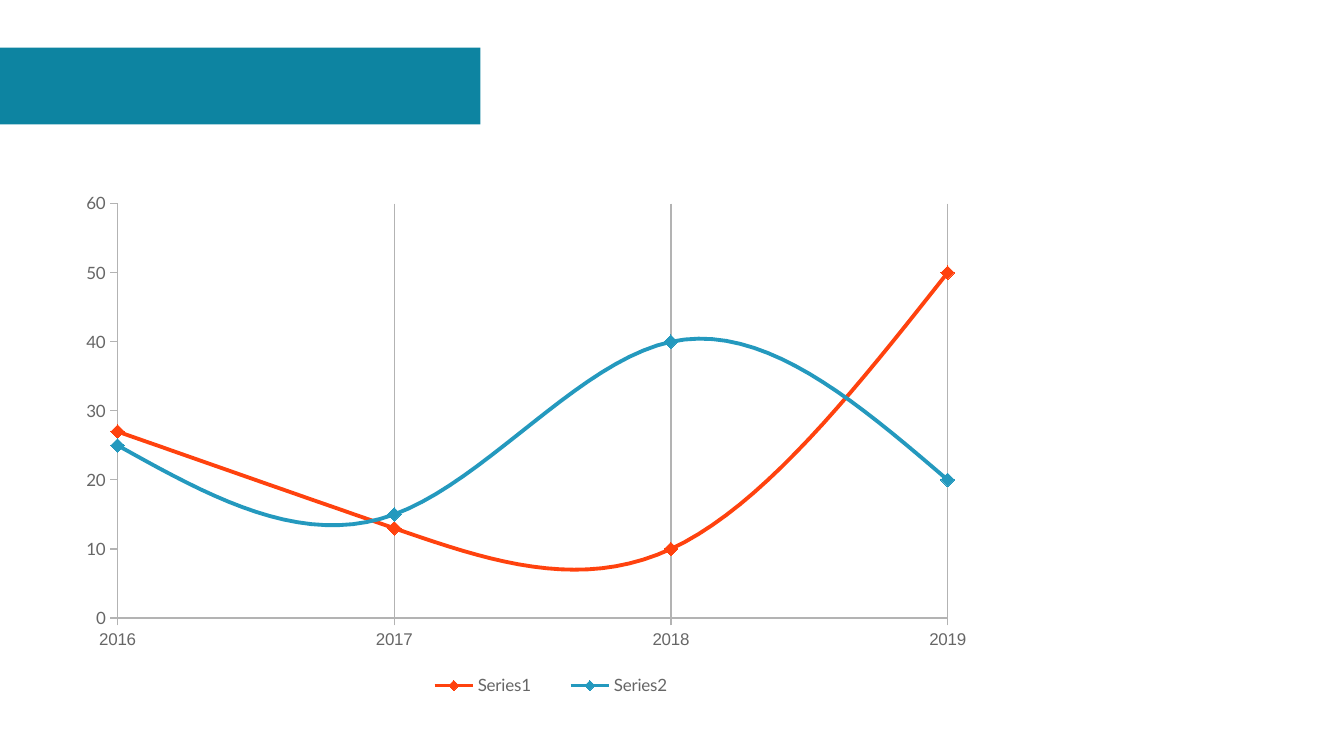
from lxml.etree import SubElement
from pptx import Presentation
from pptx.chart.data import CategoryChartData
from pptx.dml.color import RGBColor
from pptx.enum.chart import XL_CHART_TYPE as ChartType
from pptx.enum.chart import XL_LEGEND_POSITION as LegendPosition
from pptx.enum.chart import XL_MARKER_STYLE as MarkerStyle
from pptx.enum.chart import XL_TICK_MARK as TickMark
from pptx.enum.shapes import MSO_SHAPE as Shape
from pptx.oxml.ns import qn
from pptx.util import Inches, Pt

WIDTH, HEIGHT = 11.02, 6.2
BANNER, AXIS, LABEL = "0D84A1", "B3B3B3", "666666"
YEARS = ["2016", "2017", "2018", "2019"]
SERIES = [
    ("Series1", [27, 13, 10, 50], "FF420E"),
    ("Series2", [25, 15, 40, 20], "2499BE"),
]


def color(hex_string):
    return RGBColor.from_string(hex_string)


def style_fill(fill, hex_string):
    fill.solid()
    fill.fore_color.rgb = color(hex_string)


def style_line(line, hex_string, width=0):
    style_fill(line.fill, hex_string)
    line.width = Pt(width)


def style_text(font, name="Lato", size=10, hex_string=LABEL):
    font.name = name
    font.size = Pt(size)
    font.color.rgb = color(hex_string)


def place_part(parent, index, target=None, **shares):
    for old_layout in parent.findall(qn("c:layout")):
        parent.remove(old_layout)
    layout = SubElement(parent, qn("c:layout"))
    parent.insert(index, layout)
    manual = SubElement(layout, qn("c:manualLayout"))
    settings = {"xMode": "edge", "yMode": "edge", **shares}
    if target:
        settings = {"layoutTarget": target, **settings}
    for name, value in settings.items():
        SubElement(manual, qn(f"c:{name}")).set("val", str(value))


def add_banner(slide):
    banner = slide.shapes.add_shape(
        Shape.RECTANGLE, 0, Inches(0.39), Inches(3.94), Inches(0.63))
    banner.shadow.inherit = False
    style_fill(banner.fill, BANNER)
    banner.line.fill.background()


def style_axis(axis, font_name, gridlines):
    axis.major_tick_mark = TickMark.OUTSIDE
    axis.minor_tick_mark = TickMark.NONE
    axis.has_major_gridlines = gridlines
    style_text(axis.tick_labels.font, name=font_name)
    style_line(axis.format.line, AXIS)
    if gridlines:
        style_line(axis.major_gridlines.format.line, AXIS)


def scale_value_axis(chart):
    axis = chart.value_axis
    axis.minimum_scale = 0
    axis.maximum_scale = 60
    axis.major_unit = 10
    axis_element = chart.element.find(".//" + qn("c:valAx"))
    crossing = SubElement(axis_element, qn("c:crossBetween"))
    crossing.set("val", "midCat")
    axis_element.find(qn("c:majorUnit")).addprevious(crossing)


def style_series(series, hex_string):
    series.smooth = True
    style_line(series.format.line, hex_string, 2.27)
    series.marker.style = MarkerStyle.DIAMOND
    series.marker.size = 8
    style_fill(series.marker.format.fill, hex_string)
    style_line(series.marker.format.line, hex_string)


def add_legend(chart):
    chart.has_legend = True
    legend = chart.legend
    legend.position = LegendPosition.BOTTOM
    legend.include_in_layout = False
    style_text(legend.font)
    place_part(chart.element.find(".//" + qn("c:legend")), 1,
               x=0.36, y=0.94, w=0.33, h=0.06)


def add_line_chart(slide):
    data = CategoryChartData()
    data.categories = YEARS
    for name, values, _ in SERIES:
        data.add_series(name, values)
    chart = slide.shapes.add_chart(
        ChartType.LINE_MARKERS, Inches(0.59), Inches(1.5),
        Inches(7.48), Inches(4.25), data).chart
    chart.has_title = False
    style_text(chart.font, name="Arial", hex_string="000000")
    chart.plots[0].vary_by_categories = False
    for series, (_, _, hex_string) in zip(chart.plots[0].series, SERIES):
        style_series(series, hex_string)

    style_axis(chart.category_axis, "Arial", gridlines=True)
    style_axis(chart.value_axis, "Lato", gridlines=False)
    scale_value_axis(chart)
    place_part(chart.element.find(".//" + qn("c:plotArea")), 0,
               target="inner", x=0.05, y=0.04, w=0.91, h=0.8)
    add_legend(chart)


def main():
    presentation = Presentation()
    presentation.slide_width = Inches(WIDTH)
    presentation.slide_height = Inches(HEIGHT)
    slide = presentation.slides.add_slide(presentation.slide_layouts[6])
    add_banner(slide)
    add_line_chart(slide)
    presentation.save("out.pptx")


if __name__ == "__main__":
    main()
